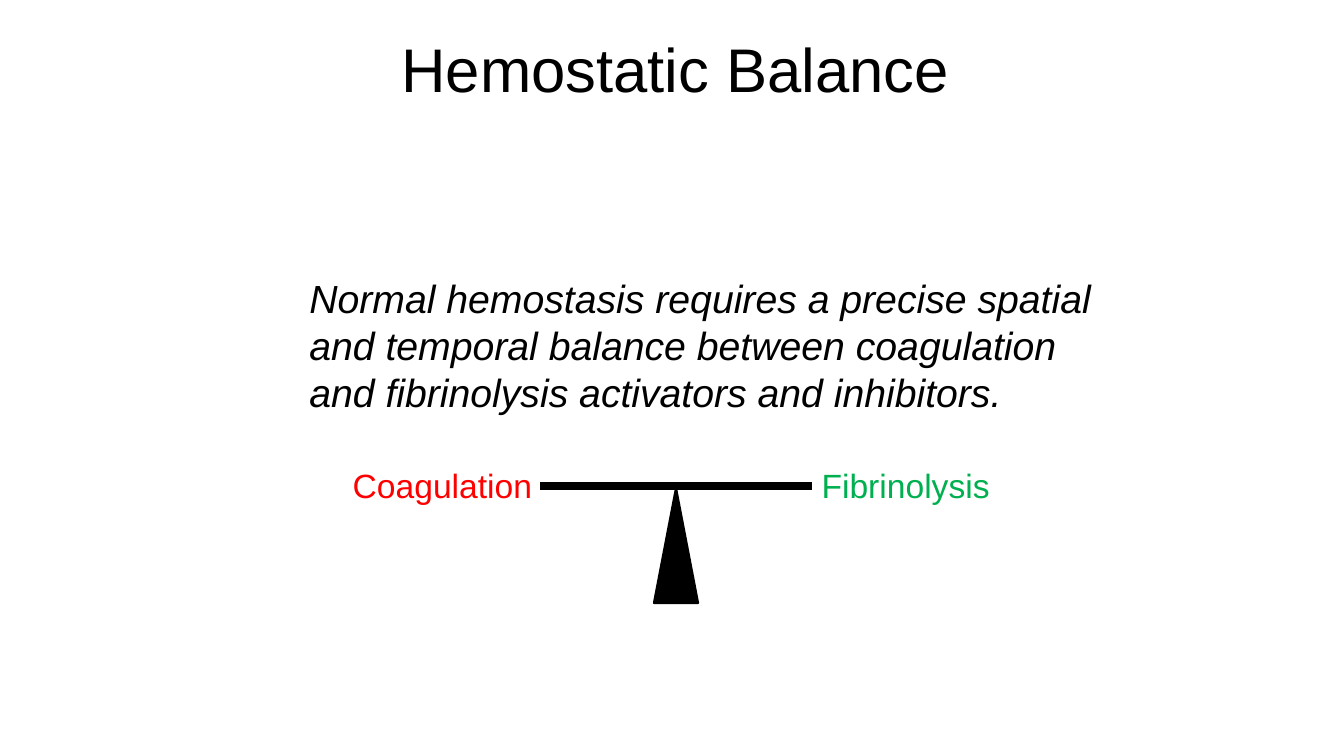
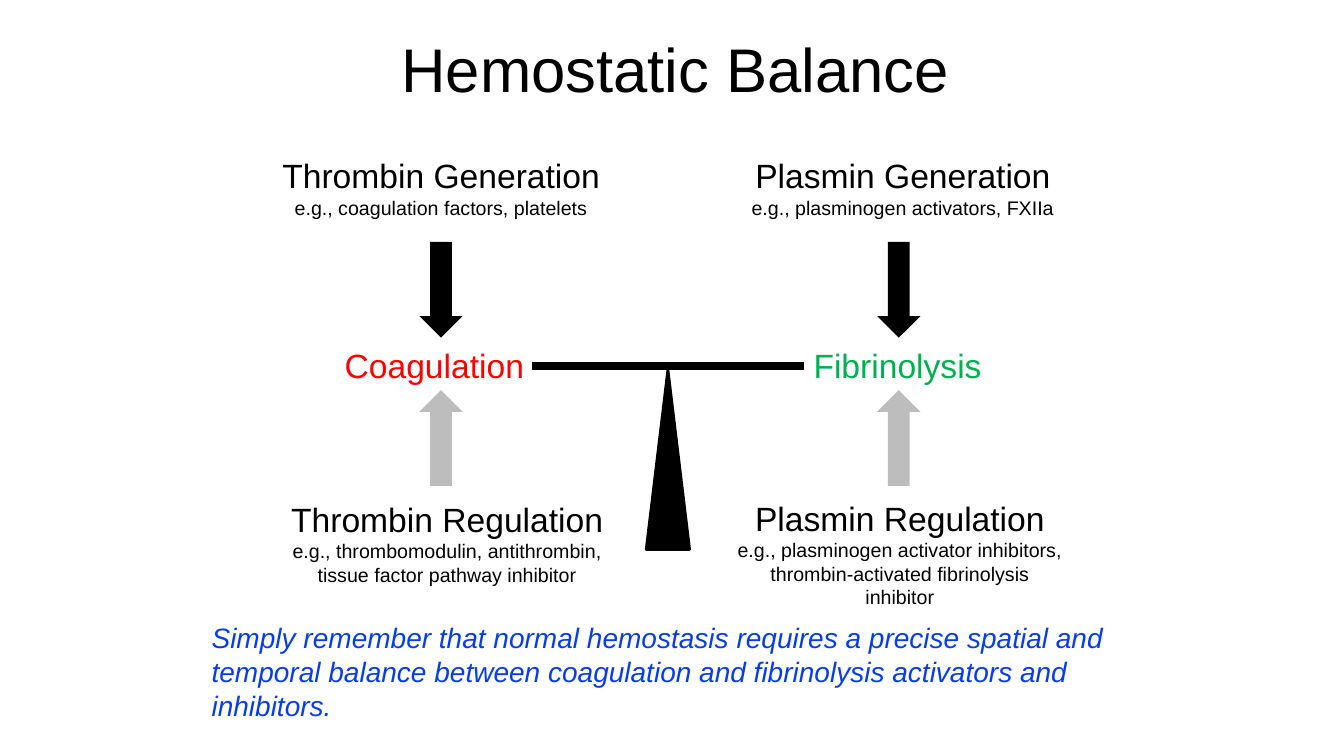
from dataclasses import dataclass

from lxml.etree import SubElement
from pptx import Presentation
from pptx.dml.color import RGBColor
from pptx.enum.shapes import MSO_CONNECTOR, MSO_SHAPE
from pptx.enum.text import MSO_ANCHOR, MSO_AUTO_SIZE, PP_ALIGN
from pptx.oxml.ns import qn
from pptx.util import Inches, Pt


@dataclass(frozen=True)
class Theme:
    font: str = "Arial"
    ink: str = "000000"
    coagulation: str = "FF0000"
    fibrinolysis: str = "00B050"
    regulation: str = "BDBDBD"
    summary: str = "063DE8"
    title_size: int = 44
    statement_size: int = 28
    heading_size: int = 24
    summary_size: int = 20
    detail_size: int = 14
    outline_width: int = 2
    beam_width: int = 6


THEME = Theme()


def write(paragraph, text, size, color=THEME.ink, italic=False,
          align=PP_ALIGN.LEFT, line_spacing=None):
    """Fill one paragraph with formatted text."""
    paragraph.text = text
    paragraph.alignment = align
    if line_spacing:
        paragraph.line_spacing = line_spacing
    font = paragraph.font
    font.name = THEME.font
    font.size = Pt(size)
    font.italic = italic
    font.color.rgb = RGBColor.from_string(color)


class Deck:
    """Holds the presentation, the theme and the current slide."""

    def __init__(self, theme):
        self.theme = theme
        self.presentation = Presentation()
        self.presentation.slide_width = Inches(13.33)
        self.presentation.slide_height = Inches(7.5)
        self.slide = None

    def add_slide(self, title):
        layout = self.presentation.slide_layouts[5]
        self.slide = self.presentation.slides.add_slide(layout)
        shape = self.slide.shapes.title
        shape.left, shape.top = Inches(2.76), Inches(0.12)
        shape.width, shape.height = Inches(7.88), Inches(1.19)
        shape.text_frame.vertical_anchor = MSO_ANCHOR.MIDDLE
        write(shape.text_frame.paragraphs[0], title, self.theme.title_size,
              align=PP_ALIGN.CENTER, line_spacing=0.9)

    def text_box(self, left, top, width, height, shapes=None, wrap=True):
        shapes = self.slide.shapes if shapes is None else shapes
        box = shapes.add_textbox(Inches(left), Inches(top), Inches(width), Inches(height))
        frame = box.text_frame
        frame.word_wrap = wrap
        frame.auto_size = MSO_AUTO_SIZE.SHAPE_TO_FIT_TEXT
        return frame

    def statement(self, text, left, top, width, height, size, color):
        frame = self.text_box(left, top, width, height)
        write(frame.paragraphs[0], text, size, color=color, italic=True)

    def solid(self, shapes, kind, left, top, width, height, color):
        shape = shapes.add_shape(kind, Inches(left), Inches(top), Inches(width), Inches(height))
        shape.shadow.inherit = False
        shape.fill.solid()
        shape.fill.fore_color.rgb = RGBColor.from_string(color)
        shape.line.fill.background()
        return shape

    def balance(self, left, top, fulcrum_height):
        """Beam on a fulcrum with a label at each end."""
        theme = self.theme
        shapes = self.slide.shapes.add_group_shape().shapes
        fulcrum = self.solid(shapes, MSO_SHAPE.ISOSCELES_TRIANGLE, left + 3.09, top + 0.3,
                             0.43, fulcrum_height, theme.ink)
        fulcrum.line.color.rgb = RGBColor.from_string(theme.ink)
        fulcrum.line.width = Pt(theme.outline_width)

        labels = (("Coagulation", 0, 2, theme.coagulation),
                  ("Fibrinolysis", 4.65, 1.89, theme.fibrinolysis))
        for text, offset, width, color in labels:
            frame = self.text_box(left + offset, top, width, 0.5, shapes, wrap=False)
            write(frame.paragraphs[0], text, theme.heading_size, color=color)

        beam_y = Inches(top + 0.26)
        beam = shapes.add_connector(MSO_CONNECTOR.STRAIGHT, Inches(left + 1.96), beam_y,
                                    Inches(left + 4.65), beam_y)
        beam.line.color.rgb = RGBColor.from_string(theme.ink)
        beam.line.width = Pt(theme.beam_width)
        SubElement(beam._element.spPr, qn("a:effectLst"))

    def factor(self, heading, details, left, top, width, height):
        """Centred heading with smaller example lines."""
        frame = self.text_box(left, top, width, height)
        write(frame.paragraphs[0], heading, self.theme.heading_size, align=PP_ALIGN.CENTER)
        for detail in details:
            write(frame.add_paragraph(), detail, self.theme.detail_size, align=PP_ALIGN.CENTER)

    def arrow(self, kind, left, top, color):
        self.solid(self.slide.shapes, kind, left, top, 0.43, 0.95, color)


def main():
    deck = Deck(THEME)
    title = "Hemostatic Balance"

    # Slide 1: the principle
    deck.add_slide(title)
    deck.balance(3.4, 4.56, fulcrum_height=1.12)
    deck.statement("Normal hemostasis requires a precise spatial and temporal balance between "
                   "coagulation and fibrinolysis activators and inhibitors.",
                   2.97, 2.67, 8.2, 1.51, THEME.statement_size, THEME.ink)

    # Slide 2: what acts on each side
    deck.add_slide(title)
    deck.balance(3.32, 3.37, fulcrum_height=1.78)
    factors = (
        ("Thrombin Generation", ["e.g., coagulation factors, platelets"],
         2.68, 1.49, 3.39, 1.18),
        ("Plasmin Generation", ["e.g., plasminogen activators, FXIIa"],
         7.26, 1.49, 3.39, 1.14),
        ("Thrombin Regulation",
         ["e.g., thrombomodulin, antithrombin,", "tissue factor pathway inhibitor"],
         2.77, 4.9, 3.33, 1.38),
        ("Plasmin Regulation",
         ["e.g., plasminogen activator inhibitors,", "thrombin-activated fibrinolysis inhibitor"],
         7.18, 4.89, 3.49, 1.38),
    )
    for factor in factors:
        deck.factor(*factor)

    # Arrows towards both ends of the beam
    for left in (4.16, 8.7):
        deck.arrow(MSO_SHAPE.DOWN_ARROW, left, 2.4, THEME.ink)
        deck.arrow(MSO_SHAPE.UP_ARROW, left, 3.87, THEME.regulation)

    deck.statement("Simply remember that normal hemostasis requires a precise spatial and "
                   "temporal balance between coagulation and fibrinolysis activators and "
                   "inhibitors.",
                   2, 6.11, 9.95, 0.77, THEME.summary_size, THEME.summary)

    deck.presentation.save("out.pptx")


if __name__ == "__main__":
    main()
